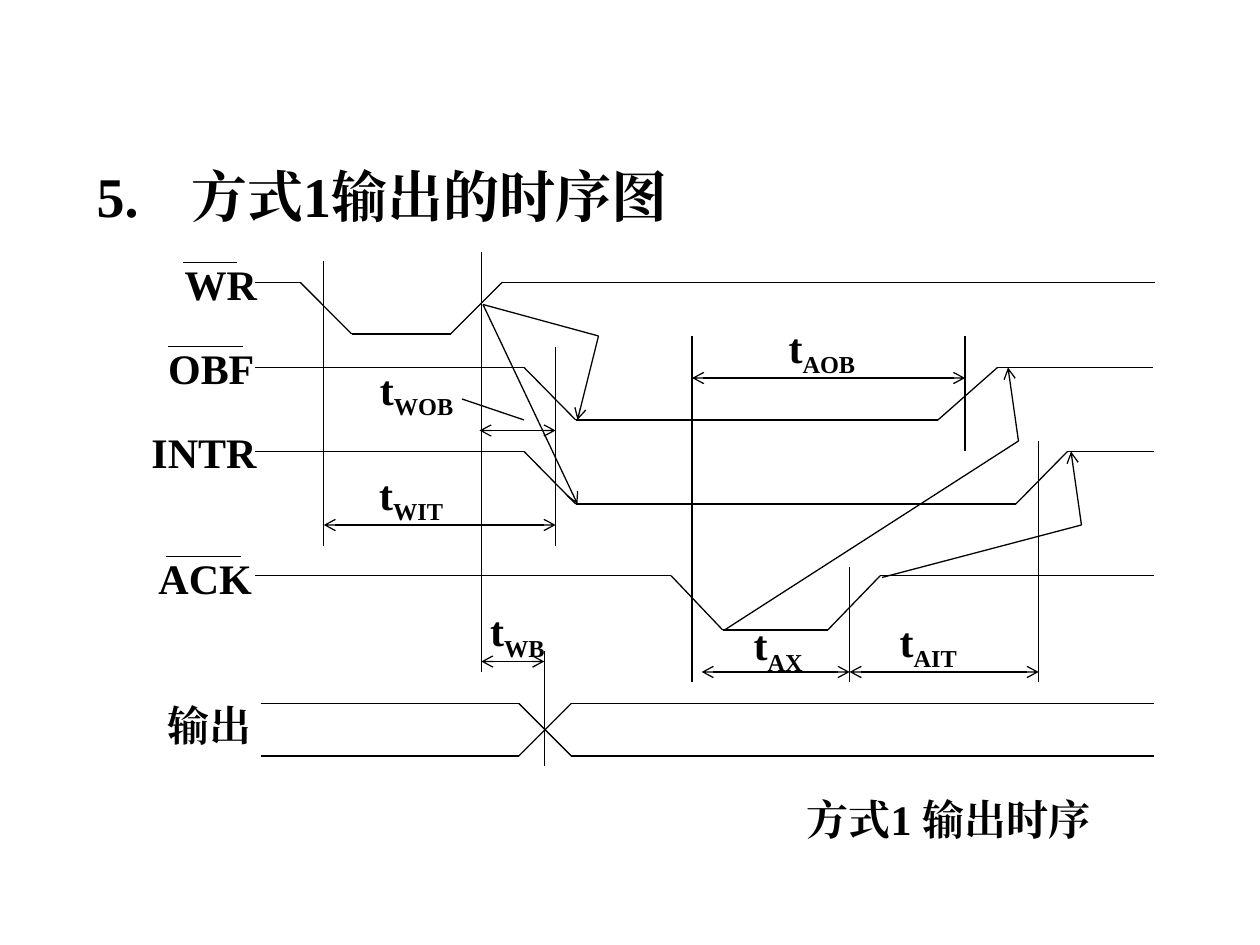
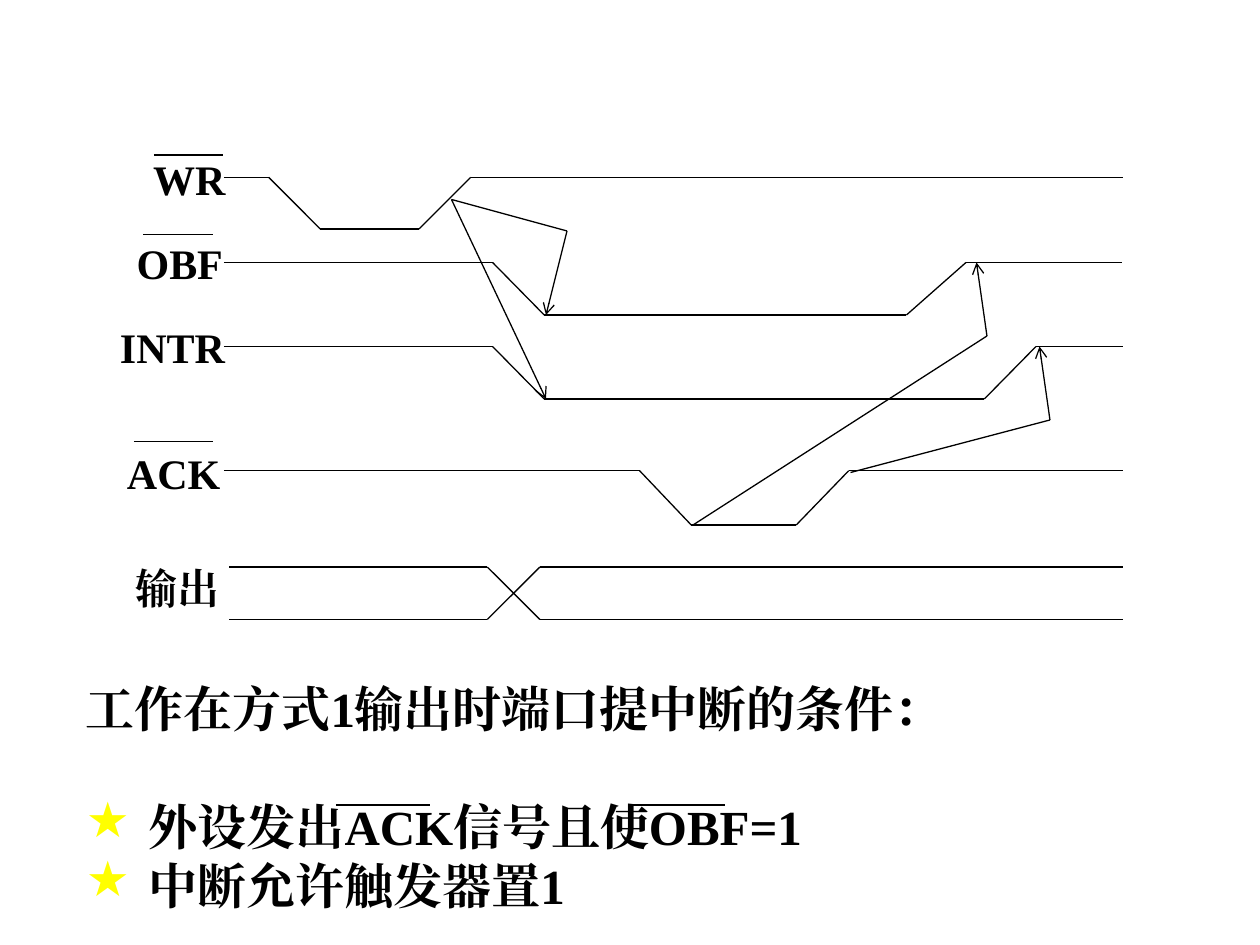
from dataclasses import dataclass
from itertools import pairwise

from lxml.etree import SubElement
from pptx import Presentation
from pptx.dml.color import RGBColor
from pptx.enum.lang import MSO_LANGUAGE_ID
from pptx.enum.shapes import MSO_CONNECTOR
from pptx.enum.text import MSO_ANCHOR, MSO_AUTO_SIZE, PP_ALIGN
from pptx.oxml.ns import qn
from pptx.util import Pt


@dataclass(frozen=True)
class Theme:
    font: str = "Times New Roman"
    ink: str = "000000"
    star: str = "FFFF00"
    title_size: int = 32
    body_size: int = 28
    label_size: int = 24
    line_width: float = 0.75


THEME = Theme()

# Signal lines and the arrows between them, as corner points
SIGNALS = [
    [(146, 161.3), (171.5, 161.3), (201, 190.8), (257.5, 190.8), (287, 161.3), (660, 161.3)],  # WR
    [(146, 210), (299.5, 210), (329, 240), (536, 240), (570, 210), (659, 210)],  # OBF
    [(146, 258), (299.5, 258), (329, 288), (580.5, 288), (610, 258), (659.5, 258)],  # INTR
    [(146, 329), (383.5, 329), (413, 360), (473, 360), (503, 329), (659.5, 329)],  # ACK
]
OUTPUT_BUS = [
    [(149, 402), (296.5, 402), (326.5, 432), (659.5, 432)],
    [(149, 432), (296.5, 432), (326.5, 402), (659.5, 402)],
]
CAUSES = [
    [(276, 174), (342, 192), (330, 240)],
    [(276, 174), (330, 288)],
    [(414, 360), (582, 252), (576, 210)],
    [(504, 330), (618, 300), (612, 258)],
]
SIGNAL_NAMES = [
    ("WR", 98.5, 144, 105),
    ("OBF", 89, 192, 105),
    ("INTR", 79.5, 240, 130),
    ("ACK", 83.5, 312, 81),
]

# x, top, bottom
GUIDES = [
    (185, 149, 312), (275, 144, 384), (317.5, 198, 312), (311, 372, 438),
    (395.5, 192, 390), (485.5, 324, 390), (551.5, 192, 258), (593.5, 252, 390),
]
# subscript, start x, end x, y, label left, label top
INTERVALS = [
    ("WOB", 274, 317.5, 246, 210, 204),
    ("WIT", 185, 317.5, 300, 209.5, 264),
    ("AOB", 395.5, 551.5, 216, 443.5, 180),
    ("AX", 401, 485.5, 384, 423.5, 350),
    ("AIT", 485.5, 593.5, 384, 507, 348),
    ("WB", 275, 311, 378, 273, 342),
]
# left, right, y
TIMING_OVERLINES = [(104.5, 135.5, 150), (96, 139, 198), (95, 137.5, 318)]
CONDITION_OVERLINES = [
    (88, 127.5, 88.5), (82, 121.5, 134), (76.5, 121.5, 252.5),
    (192, 246, 460), (360, 414, 460),
]


def write(paragraph, text, size=THEME.label_size, align=PP_ALIGN.LEFT,
          subscript=False, space_before=0):
    paragraph.alignment = align
    paragraph.space_before = Pt(space_before)
    run = paragraph.add_run()
    run.text = text
    font = run.font
    font.name, font.size, font.bold = THEME.font, Pt(size), True
    font.color.rgb = RGBColor.from_string(THEME.ink)
    font.language_id = MSO_LANGUAGE_ID.SIMPLIFIED_CHINESE
    properties = run._r.get_or_add_rPr()
    SubElement(properties, qn("a:ea"), typeface=THEME.font)
    if subscript:
        properties.set("baseline", "-25000")


def add_text_area(slide, left, top, width, height):
    """Return the first paragraph and the frame of a wrapping text box."""
    frame = slide.shapes.add_textbox(Pt(left), Pt(top), Pt(width), Pt(height)).text_frame
    frame.word_wrap = True
    return frame.paragraphs[0], frame


def add_label(slide, text, left, top, width, **text_format):
    paragraph, _ = add_text_area(slide, left, top, width, 36)
    write(paragraph, text, **text_format)


def add_line(slide, start, end, head=False, tail=False):
    line = slide.shapes.add_connector(
        MSO_CONNECTOR.STRAIGHT, *(Pt(value) for value in (*start, *end)))
    line.line.width = Pt(THEME.line_width)
    line.line.color.rgb = RGBColor.from_string(THEME.ink)
    stroke = line.line._get_or_add_ln()
    for wanted, tag in ((head, "a:headEnd"), (tail, "a:tailEnd")):
        if wanted:
            SubElement(stroke, qn(tag), type="arrow")
    SubElement(line._element.spPr, qn("a:effectLst"))


def add_trace(slide, corners, dx, dy, arrow=False):
    """Join shifted corner points; an arrow goes on the last segment only."""
    shifted = [(x + dx, y + dy) for x, y in corners]
    for start, end in pairwise(shifted):
        add_line(slide, start, end, tail=arrow and end == shifted[-1])


def add_overlines(slide, overlines):
    for left, right, y in overlines:
        add_line(slide, (left, y), (right, y))


def add_waveforms(slide, dx=0, dy=0, output_dy=0):
    for signal in SIGNALS:
        add_trace(slide, signal, dx, dy)
    for bus_line in OUTPUT_BUS:
        add_trace(slide, bus_line, dx, output_dy)
    for cause in CAUSES:
        add_trace(slide, cause, dx, dy, arrow=True)
    for name, left, top, width in SIGNAL_NAMES:
        add_label(slide, name, left + dx, top + dy, width)
    add_label(slide, "输出", 66 + dx, 396 + output_dy, 107, align=PP_ALIGN.CENTER)


def add_interval(slide, name, start, end, y, label_left, label_top):
    add_line(slide, (start, y), (end, y), head=True, tail=True)
    paragraph, _ = add_text_area(slide, label_left, label_top, 74, 40)
    write(paragraph, "t")
    write(paragraph, name, subscript=True)


def set_title(slide, number, text):
    title = slide.shapes.title
    title.left, title.top, title.width, title.height = Pt(48), Pt(88.5), Pt(624), Pt(46)
    frame = title.text_frame
    frame.vertical_anchor = MSO_ANCHOR.TOP
    frame.auto_size = MSO_AUTO_SIZE.NONE
    paragraph = frame.paragraphs[0]
    tabs = SubElement(paragraph._p.get_or_add_pPr(), qn("a:tabLst"))
    SubElement(tabs, qn("a:tab"), pos=str(Pt(54)), algn="l")
    write(paragraph, f"{number}\t{text}", size=THEME.title_size)


def star_bullet(paragraph):
    properties = paragraph._p.get_or_add_pPr()
    properties.set("marL", str(Pt(36)))
    properties.set("indent", str(-Pt(36)))
    color = SubElement(properties, qn("a:buClr"))
    SubElement(color, qn("a:srgbClr"), val=THEME.star)
    SubElement(properties, qn("a:buChar"), char="★")


def add_conditions(slide, heading, conditions):
    paragraph, frame = add_text_area(slide, 42, 384, 642, 142)
    body_format = {"size": THEME.body_size, "align": PP_ALIGN.JUSTIFY}
    write(paragraph, heading, **body_format)
    for index, condition in enumerate(conditions):
        paragraph = frame.add_paragraph()
        star_bullet(paragraph)
        write(paragraph, condition, space_before=0 if index else 34, **body_format)


def build_timing_slide(deck):
    slide = deck.slides.add_slide(deck.slide_layouts[5])
    set_title(slide, "5.", "方式1输出的时序图")
    add_waveforms(slide)
    add_overlines(slide, TIMING_OVERLINES)
    for x, top, bottom in GUIDES:
        add_line(slide, (x, top), (x, bottom))
    for interval in INTERVALS:
        add_interval(slide, *interval)
    add_line(slide, (264, 228), (299.5, 240))
    add_label(slide, "方式1 输出时序", 437, 450, 210, align=PP_ALIGN.CENTER)


def build_condition_slide(deck):
    slide = deck.slides.add_slide(deck.slide_layouts[6])
    add_waveforms(slide, dx=-18, dy=-60, output_dy=-78)
    add_conditions(slide, "工作在方式1输出时端口提中断的条件：",
                   ["外设发出ACK信号且使OBF=1", "中断允许触发器置1"])
    add_overlines(slide, CONDITION_OVERLINES)


def main():
    deck = Presentation()
    deck.slide_width, deck.slide_height = Pt(720), Pt(540)
    build_timing_slide(deck)
    build_condition_slide(deck)
    deck.save("out.pptx")


if __name__ == "__main__":
    main()
